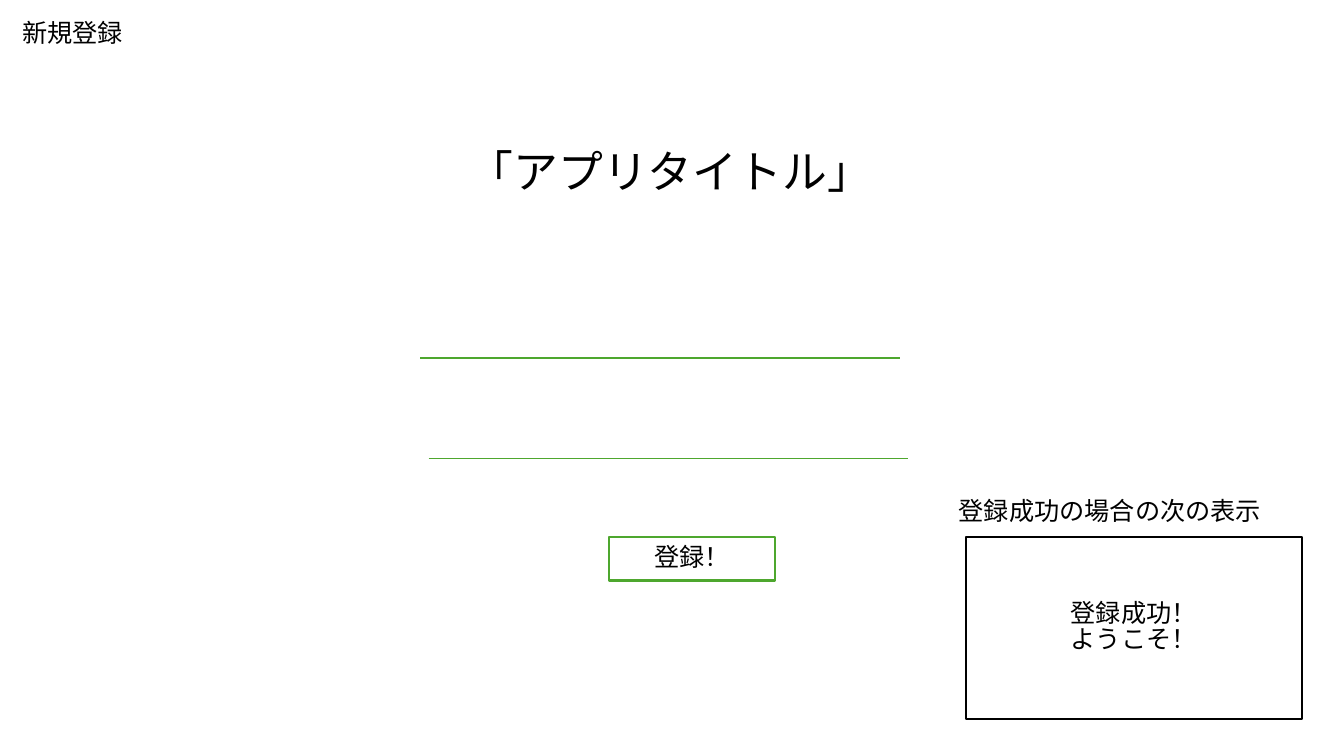
from dataclasses import dataclass

from lxml import etree
from pptx import Presentation
from pptx.dml.color import RGBColor
from pptx.enum.shapes import MSO_CONNECTOR, MSO_SHAPE
from pptx.enum.text import MSO_ANCHOR, MSO_AUTO_SIZE, PP_ALIGN
from pptx.oxml.ns import qn
from pptx.util import Inches, Pt

RECTANGLE = MSO_SHAPE.RECTANGLE
STRAIGHT = MSO_CONNECTOR.STRAIGHT
MIDDLE = MSO_ANCHOR.MIDDLE
FIT_SHAPE = MSO_AUTO_SIZE.SHAPE_TO_FIT_TEXT
LEFT, CENTER = PP_ALIGN.LEFT, PP_ALIGN.CENTER


@dataclass(frozen=True)
class Theme:
    font: str = "Noto Sans CJK JP"
    text: RGBColor = RGBColor(0x00, 0x00, 0x00)
    paper: RGBColor = RGBColor(0xFF, 0xFF, 0xFF)
    accent: RGBColor = RGBColor(0x4E, 0xA7, 0x2E)
    body_size: int = 18
    title_size: int = 32
    line_spacing: float = 0.83


theme = Theme()


def write_text(shape, text, size=theme.body_size, align=LEFT):
    frame = shape.text_frame
    frame.text = text
    for paragraph in frame.paragraphs:
        paragraph.alignment = align
        paragraph.line_spacing = theme.line_spacing
        for run in paragraph.runs:
            run.font.size = Pt(size)
            run.font.color.rgb = theme.text
            run.font.name = theme.font
            east_asian = etree.SubElement(run.font._element, qn("a:ea"))
            east_asian.set("typeface", theme.font)


presentation = Presentation()
presentation.slide_width = Inches(13.33)
presentation.slide_height = Inches(7.5)
slide = presentation.slides.add_slide(presentation.slide_layouts[6])

# Page name, app title and caption of the next screen
labels = [
    ("新規登録", 0.12, 0.17, 1.21, 0.4, theme.body_size),
    ("「アプリタイトル」", 4.55, 1.47, 4.24, 0.64, theme.title_size),
    ("登録成功の場合の次の表示", 9.41, 4.92, 3.23, 0.4, theme.body_size),
]
for text, left, top, width, height, size in labels:
    label = slide.shapes.add_textbox(
        Inches(left), Inches(top), Inches(width), Inches(height))
    label.text_frame.word_wrap = False
    label.text_frame.auto_size = FIT_SHAPE
    write_text(label, text, size=size)

# Input lines
for left, top in [(4.17, 3.55), (4.25, 4.55)]:
    input_line = slide.shapes.add_connector(
        STRAIGHT, Inches(left), Inches(top), Inches(left + 4.76), Inches(top))
    input_line.line.color.rgb = theme.accent
    input_line.line.width = Pt(1)
    etree.SubElement(input_line._element.spPr, qn("a:effectLst"))

# Register button and success screen
boxes = [
    ("登録！", 6.04, 1.65, 0.43, theme.accent),
    ("登録成功！\nようこそ！", 9.58, 3.33, 1.8, theme.text),
]
for text, left, width, height, outline in boxes:
    box = slide.shapes.add_shape(
        RECTANGLE, Inches(left), Inches(5.33), Inches(width), Inches(height))
    box.shadow.inherit = False
    box.fill.solid()
    box.fill.fore_color.rgb = theme.paper
    box.line.color.rgb = outline
    box.line.width = Pt(1.5)
    box.text_frame.vertical_anchor = MIDDLE
    write_text(box, text, align=CENTER)

presentation.save("out.pptx")
